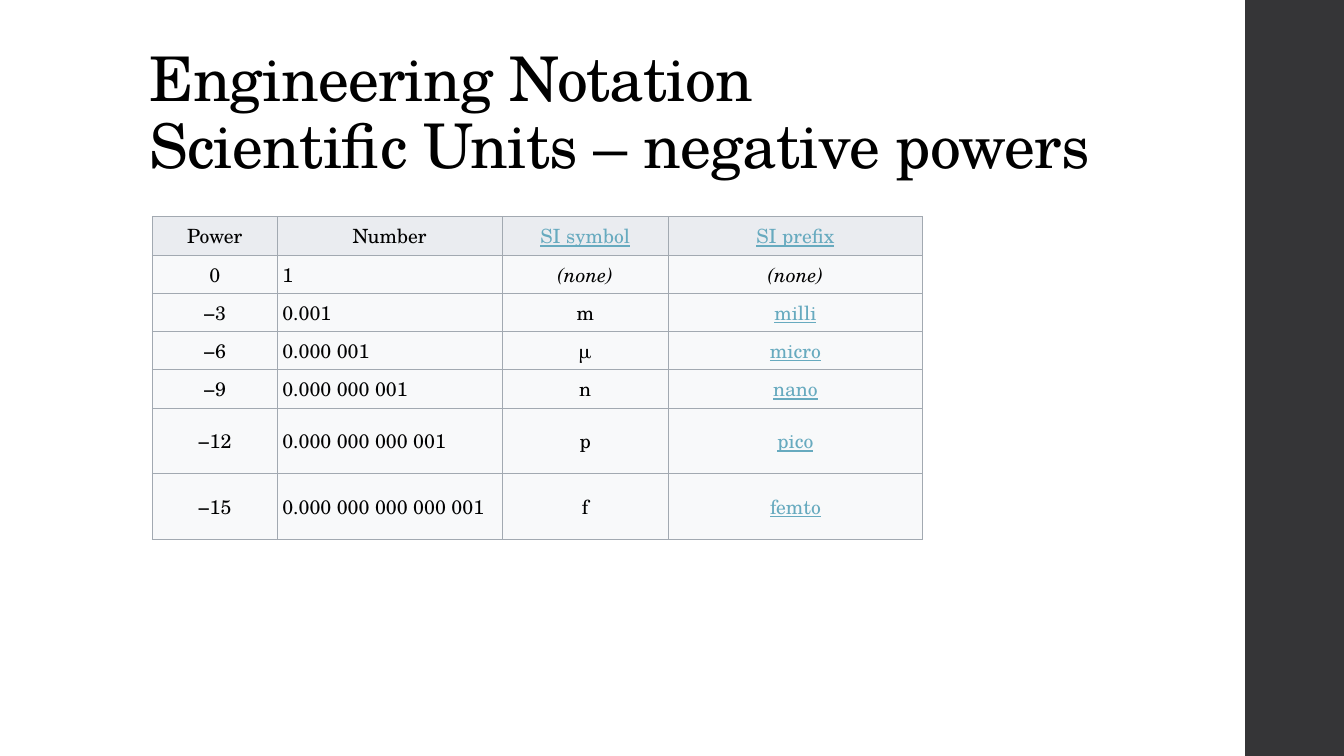
import pptx
import pptx.util
import pptx.dml.color
import pptx.enum.shapes
import pptx.enum.text
import pptx.oxml
import pptx.oxml.ns

Inches = pptx.util.Inches
ALIGN = pptx.enum.text.PP_ALIGN
ANCHOR = pptx.enum.text.MSO_ANCHOR

FONT = "TeX Gyre Schola"
BLACK, LINK, BORDER = "000000", "67AABF", "A2A9B1"
HEAD, BODY, BAND = "EAECF0", "F8F9FA", "353537"

WIDTHS = [1.24, 2.23, 1.65, 2.52]
HEIGHTS = [0.38] * 5 + [0.65] * 2
ROWS = [
    ("Power", "Number", "SI symbol", "SI prefix"),
    ("0", "1", "(none)", "(none)"),
    ("−3", "0.001", "m", "milli"),
    ("−6", "0.000 001", "μ", "micro"),
    ("−9", "0.000 000 001", "n", "nano"),
    ("−12", "0.000 000 000 001", "p", "pico"),
    ("−15", "0.000 000 000 000 001", "f", "femto"),
]


def color(code):
    return pptx.dml.color.RGBColor.from_string(code)


def paint(item, code):
    item.fill.solid()
    item.fill.fore_color.rgb = color(code)


def write(frame, text, size=14, code=BLACK, align=ALIGN.LEFT,
          italic=False, under=False, space=None, track=None):
    par = frame.paragraphs[0]
    par.text = text
    par.alignment = align
    par.line_spacing = space
    for run in par.runs:
        font = run.font
        font.name, font.size = FONT, pptx.util.Pt(size)
        font.bold, font.italic, font.underline = False, italic, under
        font.color.rgb = color(code)
        if track is not None:
            run._r.get_or_add_rPr().set("spc", str(track))


def add_band(slide):
    band = slide.shapes.add_shape(
        pptx.enum.shapes.MSO_SHAPE.RECTANGLE,
        Inches(12.35), 0, Inches(0.98), Inches(7.5))
    band.shadow.inherit = False
    paint(band, BAND)
    band.line.fill.background()


def set_title(slide, text):
    title = slide.shapes.title
    title.left, title.top = Inches(1.38), Inches(0.4)
    title.width, title.height = Inches(10.6), Inches(1.45)
    frame = title.text_frame
    frame.word_wrap = True
    frame.auto_size = pptx.enum.text.MSO_AUTO_SIZE.NONE
    frame.vertical_anchor = ANCHOR.BOTTOM
    write(frame, text, size=44, space=0.9, track=-50)


def add_edges(cell):
    props = cell._tc.get_or_add_tcPr()
    for place, side in enumerate(("lnL", "lnR", "lnT", "lnB")):
        props.insert(place, pptx.oxml.parse_xml(
            f'<a:{side} {pptx.oxml.ns.nsdecls("a")} w="9525"><a:solidFill>'
            f'<a:srgbClr val="{BORDER}"/></a:solidFill></a:{side}>'))


def fill_cell(cell, text, row, col):
    paint(cell, BODY if row else HEAD)
    add_edges(cell)
    cell.vertical_anchor = ANCHOR.MIDDLE
    cell.margin_left = cell.margin_right = Inches(0.05)
    cell.margin_top = cell.margin_bottom = Inches(0.03)
    none = text == "(none)"
    # Links: the two SI headings and every named prefix
    link = not none and (col == 3 or (row == 0 and col == 2))
    left = row > 0 and col == 1
    write(cell.text_frame, text, code=LINK if link else BLACK,
          align=ALIGN.LEFT if left else ALIGN.CENTER,
          italic=none, under=link)


def add_units(slide):
    table = slide.shapes.add_table(
        len(ROWS), len(WIDTHS), Inches(1.51), Inches(2.15),
        Inches(sum(WIDTHS)), Inches(sum(HEIGHTS))).table
    table.first_row = table.horz_banding = False
    for col, width in zip(table.columns, WIDTHS):
        col.width = Inches(width)
    for row, height in zip(table.rows, HEIGHTS):
        row.height = Inches(height)
    for r, texts in enumerate(ROWS):
        for c, text in enumerate(texts):
            fill_cell(table.cell(r, c), text, r, c)


def main():
    deck = pptx.Presentation()
    deck.slide_width, deck.slide_height = Inches(13.33), Inches(7.5)
    # Title-only layout
    slide = deck.slides.add_slide(deck.slide_layouts[5])
    add_band(slide)
    set_title(slide, "Engineering Notation\vScientific Units – negative powers")
    add_units(slide)
    deck.save("out.pptx")


if __name__ == "__main__":
    main()
